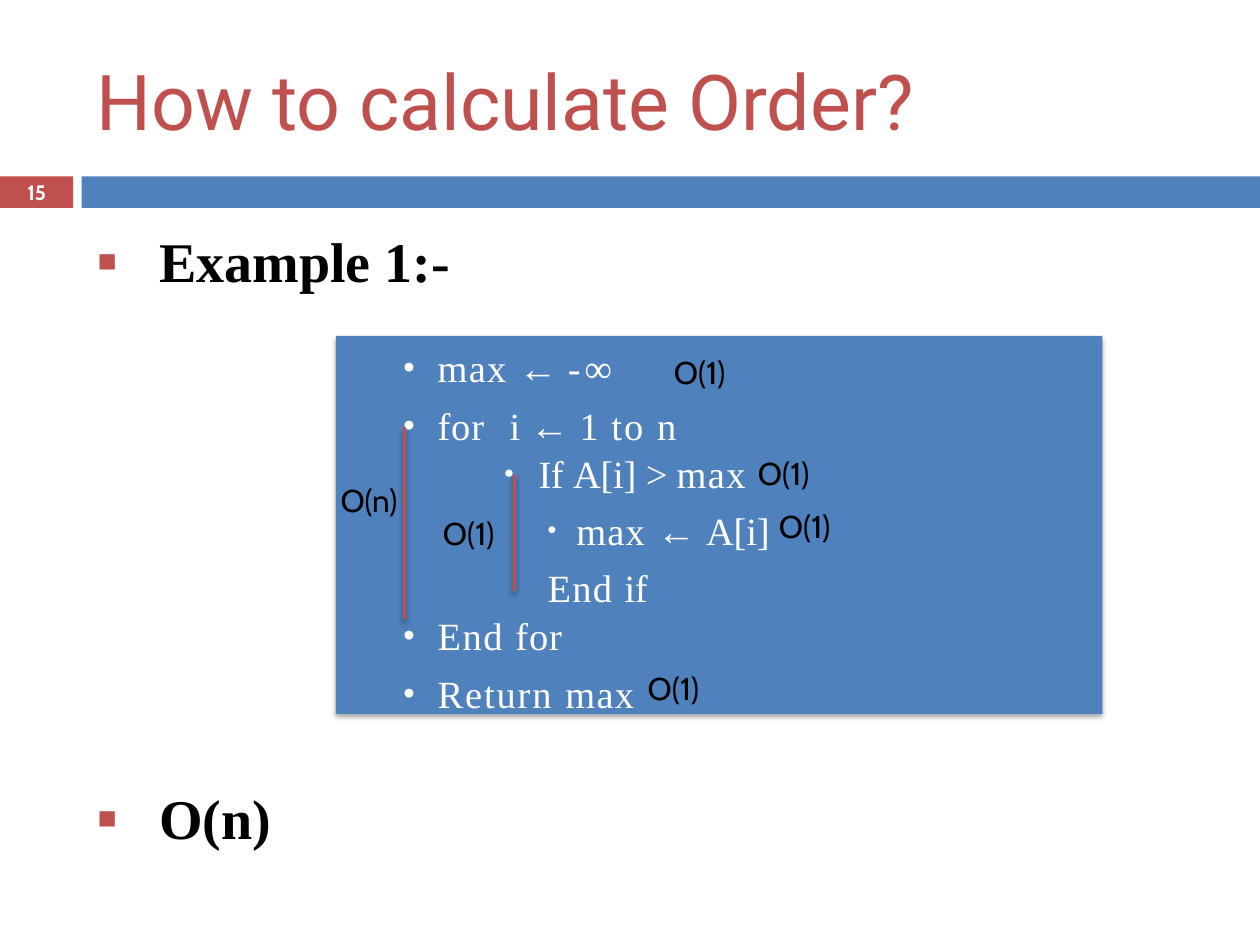
from pptx import Presentation
from pptx.dml.color import RGBColor as RGB
from pptx.enum.shapes import MSO_CONNECTOR as LINK, MSO_SHAPE as SHAPE
from pptx.enum.text import MSO_ANCHOR as ANCHOR, PP_ALIGN as ALIGN
from pptx.oxml import parse_xml
from pptx.oxml.ns import nsdecls
from pptx.util import Pt

RED = RGB(0xC0, 0x50, 0x4D)
BLUE = RGB(0x4F, 0x81, 0xBD)
WHITE = RGB(255, 255, 255)
BLACK = RGB(0, 0, 0)
SERIF = "Times New Roman"


class Deck:
    """Draw the slide's elements in one shared style."""

    def __init__(self, wide, high):
        self.file = Presentation()
        self.file.slide_width, self.file.slide_height = Pt(wide), Pt(high)
        self.slide = self.file.slides.add_slide(self.file.slide_layouts[6])
        self.shapes = self.slide.shapes

    def node(self, host, tag, body="", **attrs):
        text = " ".join(f'{key}="{val}"' for key, val in attrs.items())
        host.append(parse_xml(f'<a:{tag} {nsdecls("a")} {text}>{body}</a:{tag}>'))

    def shade(self, item, alpha, dist):
        body = (f'<a:outerShdw blurRad="{Pt(3)}" dist="{Pt(dist)}" dir="5400000" '
                f'rotWithShape="0"><a:srgbClr val="{BLACK}">'
                f'<a:alpha val="{alpha * 1000}"/></a:srgbClr></a:outerShdw>')
        self.node(item._element.spPr, "effectLst", body)

    def rect(self, box, fill, shade=False):
        item = self.shapes.add_shape(SHAPE.RECTANGLE, *map(Pt, box))
        item.fill.solid()
        item.fill.fore_color.rgb = fill
        item.line.fill.background()
        if shade:
            self.shade(item, 35, 2)
        else:
            item.shadow.inherit = False
        return item

    def bar(self, x, top, end):
        line = self.shapes.add_connector(LINK.STRAIGHT, Pt(x), Pt(top), Pt(x), Pt(end))
        line.line.color.rgb, line.line.width = RED, Pt(1.5)
        self.shade(line, 45, 2.4)

    def box(self, box, anchor=ANCHOR.TOP):
        frame = self.shapes.add_textbox(*map(Pt, box)).text_frame
        frame.word_wrap, frame.vertical_anchor = True, anchor
        return frame

    def para(self, frame, first, form, align=ALIGN.LEFT):
        par = frame.paragraphs[0] if first else frame.add_paragraph()
        for key, val in {"alignment": align, **form}.items():
            setattr(par, key, val)
        return par

    def run(self, par, text, font, space=0):
        run = par.add_run()
        run.text = text
        for key, val in font.items():
            if key == "color":
                run.font.color.rgb = val
            else:
                setattr(run.font, key, val)
        if space:
            run.font._element.set("spc", str(round(space * 100)))

    def mark(self, par, left, hang, sign, scale, color=None, tab=None):
        props = par._p.get_or_add_pPr()
        props.set("marL", str(Pt(left)))
        props.set("indent", str(Pt(-hang)))
        if sign:
            if color:
                self.node(props, "buClr", f'<a:srgbClr val="{color}"/>')
            self.node(props, "buSzPct", val=scale * 1000)
            self.node(props, "buFont", typeface="Arial")
            self.node(props, "buChar", char=sign)
        if tab:
            self.node(props, "tabLst", f'<a:tab pos="{Pt(tab)}" algn="l"/>')

    def label(self, box, text, font, anchor=ANCHOR.TOP, align=ALIGN.LEFT):
        par = self.para(self.box(box, anchor), True, {}, align)
        self.run(par, text, font)


deck = Deck(720, 540)
deck.rect((0, 100.8, 41.8, 18), RED)
deck.rect((46.6, 100.8, 673.4, 18), BLUE)
deck.label((48, 18, 642, 78), "How to calculate Order?",
           {"size": Pt(44), "name": "Roboto", "color": RED}, ANCHOR.MIDDLE)
deck.label((0, 100, 42, 19.4), "15",
           {"size": Pt(11.9), "name": "Cabin", "color": WHITE, "bold": True},
           ANCHOR.MIDDLE, ALIGN.CENTER)

body = deck.box((48, 126, 642, 354))
bold = {"size": Pt(32), "name": SERIF, "color": BLACK, "bold": True}
for num, (text, gap) in enumerate([("Example 1:-", 7), ("O(n)", 280)]):
    par = deck.para(body, num == 0, {"space_before": Pt(gap)})
    deck.mark(par, 36, 36, "▪", 110, RED)
    deck.run(par, text, bold)

code = deck.rect((192, 192, 438, 216), BLUE, True).text_frame
code.word_wrap, code.vertical_anchor = True, ANCHOR.TOP
plain = {"size": Pt(22), "name": SERIF, "color": WHITE}
arrow = ("← ", 0)
outer, test, inner, close = (51, 19.5, "•", 85), (108.7, 19.5, "•", 69), \
    (130.3, 16.5, "•", 65), (113.8, 0, "", 0)
steps = [
    (outer, 3, None, [("max ", 0.8), arrow, ("-∞", 2.2)]),
    (outer, 5.8, 92.2, [("for\t", 0.5), ("i ", 0.1), arrow, ("1 ", 0.9),
                        ("to ", 1.2), ("n", 1.9)]),
    (test, 0, None, [("If ", -0.2), ("A[i] ", -0.1), ("> ", -0.3), ("max", 0.8)]),
    (inner, 5, None, [("max ", 0.7), arrow, ("A[i]", -0.1)]),
    (close, 5, None, [("End ", 0.8), ("if", -0.2)]),
    (outer, 0, None, [("End ", 0.9), ("for", 0.5)]),
    (outer, 5.8, None, [("Return ", 1.1), ("max", 0.8)]),
]
for num, (kind, gap, tab, parts) in enumerate(steps):
    par = deck.para(code, num == 0, {"space_before": Pt(gap), "line_spacing": 1.04})
    deck.mark(par, *kind, tab=tab)
    for part in parts:
        font = {**plain, "name": "Arial"} if part is arrow else plain
        deck.run(par, part[0], font, part[1])

deck.bar(294, 271.5, 337.5)
deck.bar(231, 244, 353.5)
note = {"size": Pt(18), "name": "Cabin", "color": BLACK}
costs = [(246, 290, "O(1)"), (378, 198, "O(1)"), (426, 255.6, "O(1)"),
         (438, 286, "O(1)"), (363, 378.5, "O(1)"), (187.5, 271.5, "O(n)")]
for left, top, text in costs:
    deck.label((left, top, 54, 29), text, note)

deck.file.save("out.pptx")
